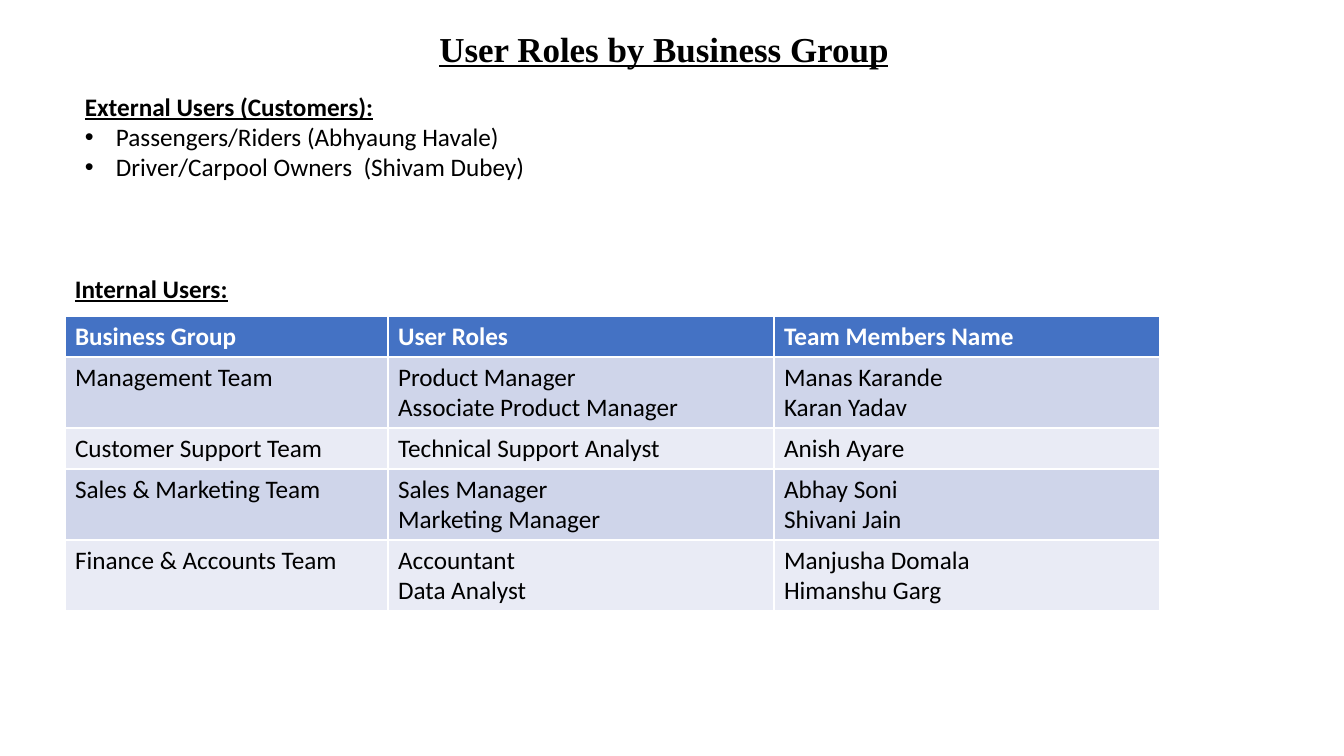
import pptx
import pptx.util
import pptx.dml.color
import pptx.enum.text
import lxml.etree

PX = 914400 / 100.8
BLACK = pptx.dml.color.RGBColor(0x00, 0x00, 0x00)
WHITE = pptx.dml.color.RGBColor(0xFF, 0xFF, 0xFF)
HEADER_BLUE = pptx.dml.color.RGBColor(0x44, 0x72, 0xC4)
BAND_DARK = pptx.dml.color.RGBColor(0xCF, 0xD5, 0xEA)
BAND_LIGHT = pptx.dml.color.RGBColor(0xE9, 0xEB, 0xF5)


def px(length):
    return pptx.util.Emu(round(length * PX))


def write(frame, lines, color=BLACK, bold=False, underline=False, size=18, name="Calibri"):
    frame.word_wrap = True
    frame.text = "\n".join(lines)
    for para in frame.paragraphs:
        para.font.name = name
        para.font.size = pptx.util.Pt(size)
        para.font.bold = bold
        para.font.underline = underline
        para.font.color.rgb = color


deck = pptx.Presentation()
deck.slide_width = px(1344)
deck.slide_height = px(756)
page = deck.slides.add_slide(deck.slide_layouts[6])

title = page.shapes.add_textbox(px(-8), px(16), px(1344), px(70)).text_frame
write(title, ["User Roles by Business Group"], bold=True, underline=True,
      size=25, name="Times New Roman")
title.vertical_anchor = pptx.enum.text.MSO_ANCHOR.MIDDLE
title.paragraphs[0].alignment = pptx.enum.text.PP_ALIGN.CENTER
title.paragraphs[0].line_spacing = 0.9

rows = [
    (["Business Group"], ["User Roles"], ["Team Members Name"]),
    (["Management Team"], ["Product Manager", "Associate Product Manager"],
     ["Manas Karande", "Karan Yadav"]),
    (["Customer Support Team"], ["Technical Support Analyst"], ["Anish Ayare"]),
    (["Sales & Marketing Team"], ["Sales Manager", "Marketing Manager"],
     ["Abhay Soni", "Shivani Jain"]),
    (["Finance & Accounts Team"], ["Accountant", "Data Analyst"],
     ["Manjusha Domala", "Himanshu Garg"]),
]
column_widths = [323, 386, 386]
roles = page.shapes.add_table(len(rows), len(column_widths), px(65), px(316),
                              px(sum(column_widths)), px(296)).table
for column, width in zip(roles.columns, column_widths):
    column.width = px(width)
for r, row in enumerate(rows):
    roles.rows[r].height = px(41 if len(row[1]) == 1 else 71)
    header = r == 0
    band = HEADER_BLUE if header else BAND_DARK if r % 2 else BAND_LIGHT
    for c, lines in enumerate(row):
        cell = roles.cell(r, c)
        cell.fill.solid()
        cell.fill.fore_color.rgb = band
        write(cell.text_frame, lines, color=WHITE if header else BLACK, bold=header)

external = page.shapes.add_textbox(px(75), px(86), px(501), px(132)).text_frame
write(external, ["External Users (Customers):", "Passengers/Riders (Abhyaung Havale)",
                 "Driver/Carpool Owners  (Shivam Dubey)"])
external.paragraphs[0].font.bold = True
external.paragraphs[0].font.underline = True
for para in external.paragraphs[1:]:
    properties = para._p.get_or_add_pPr()
    properties.set("marL", str(px(31)))
    properties.set("indent", str(px(-31)))
    bullet = lxml.etree.Element(pptx.oxml.ns.qn("a:buChar"), char="•")
    properties.insert(0, bullet)
    bullet_font = lxml.etree.Element(pptx.oxml.ns.qn("a:buFont"), typeface="Arial")
    properties.insert(0, bullet_font)

internal = page.shapes.add_textbox(px(65), px(268), px(676), px(40)).text_frame
write(internal, ["Internal Users:"], bold=True, underline=True)

deck.save("out.pptx")
